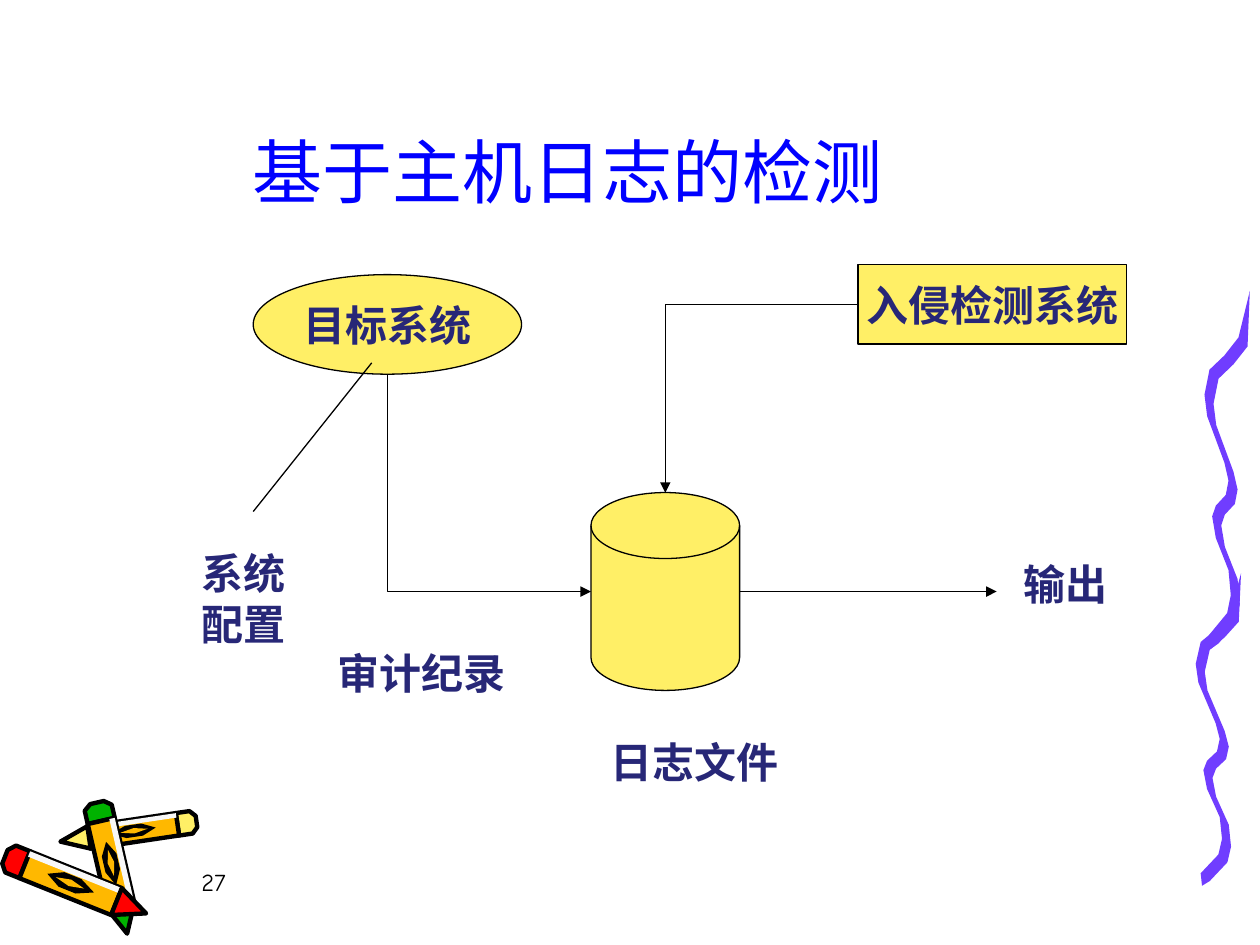
from math import hypot

from lxml.etree import SubElement
from pptx import Presentation
from pptx.dml.color import RGBColor
from pptx.enum.shapes import MSO_CONNECTOR as LINK, MSO_SHAPE as KIND
from pptx.enum.text import MSO_ANCHOR, MSO_AUTO_SIZE, PP_ALIGN
from pptx.oxml.ns import qn
from pptx.util import Inches, Pt

COLORS = {"title": "0000FF", "ink": "272777", "black": "000000",
          "pale": "FFEF66", "snow": "F8F8F8", "red": "FF0000",
          "gold": "FFB800", "green": "00B200", "violet": "703DFF"}

# Content: boxes are left, top, width, height in inches
TITLE = "基于主机日志的检测"
PAGE = "27"
NODES = {
    "target": (KIND.OVAL, "目标系统", (2.01, 2.18, 2.13, 0.79)),
    "log": (KIND.FLOWCHART_MAGNETIC_DISK, "", (4.69, 3.91, 1.18, 1.57)),
    "detector": (KIND.RECTANGLE, "入侵检测系统", (6.81, 2.1, 2.13, 0.63)),
}
LABELS = {
    "审计纪录": (2.56, 5.09, 1.57, 0.5),
    "系统配置": (1.38, 4.3, 1.1, 0.9),
    "日志文件": (4.61, 5.8, 1.81, 0.5),
    "输出": (7.91, 4.38, 1.1, 0.5),
}

# Sides of a node, as shares of its width and height
TOP, BOTTOM, LEFT, RIGHT = (0.5, 0), (0.5, 1), (0, 0.5), (1, 0.5)
ELBOWS = [  # from node and side, to node and side, turn, flip
    ("target", BOTTOM, "log", LEFT, 270, "flipH"),
    ("detector", LEFT, "log", TOP, 180, "flipV"),
]

# A crayon runs from its back (0) to its tip (1), and is 1 wide about its axis
CAP, NECK = 0.14, 0.79
CRAYON = [  # part, (along, across) corners
    ("end", [(0, -0.25), (0.04, -0.5), (CAP, -0.5), (CAP, 0.5), (0.04, 0.5), (0, 0.25)]),
    ("barrel", [(CAP, -0.5), (NECK, -0.5), (NECK, 0.5), (CAP, 0.5)]),
    ("shine", [(CAP, -0.5), (NECK, -0.5), (NECK, -0.3), (CAP, -0.3)]),
    ("end", [(NECK, -0.5), (1, 0), (NECK, 0.5)]),
    ("grain", [(0.3, 0), (0.4, -0.27), (0.52, -0.27), (0.63, 0), (0.52, 0.27), (0.4, 0.27)]),
    ("core", [(0.36, 0), (0.46, -0.12), (0.56, 0), (0.46, 0.12)]),
]
PAINT = {"barrel": "gold", "shine": "snow", "grain": "black", "core": "gold"}
LINED = {"end", "barrel"}
CRAYONS = [  # end colour, back, tip, width (below zero puts the shine on the other side)
    ("pale", (1.56, 6.52), (0.48, 6.68), -0.18),
    ("green", (0.77, 6.37), (1.01, 7.41), 0.22),
    ("red", (0.04, 6.8), (1.16, 7.25), 0.23),
]

# A ribbon is its left edge swept by a slanted nib, in percent of its box
EDGE = [(100, 0), (75, 13), (44, 18), (11, 22), (0, 29), (6, 35), (44, 48), (53, 53),
        (47, 57), (25, 60), (17, 63), (25, 69), (53, 78), (58, 85), (50, 90), (11, 96)]
NIB = (20, 2.5)
FOOT = (14, 100)
RIBBONS = [(9.49, 4.55, 0.36, 2.48), (9.56, 2.31, 0.36, 2.84)]


def rgb(name):
    return RGBColor.from_string(COLORS[name])


def box(*sides):
    return [Inches(side) for side in sides]


def paint(shape, fill, width=0.0):
    """Fill a shape; give it a black line where width is not zero."""
    shape.shadow.inherit = False
    shape.fill.solid()
    shape.fill.fore_color.rgb = rgb(fill)
    if width:
        shape.line.color.rgb = rgb("black")
        shape.line.width = Pt(width)
    else:
        shape.line.fill.background()


def write(frame, text, size, color, face, bold=False, align=PP_ALIGN.CENTER, before=0):
    frame.text = text
    para = frame.paragraphs[0]
    para.alignment, para.space_before = align, Pt(before)
    font = para.runs[0].font
    font.size, font.name, font.bold = Pt(size), face, bold
    font.color.rgb = rgb(color)


def label(frame, text, before):
    write(frame, text, 24, "ink", "Times New Roman", True, before=before)


def trace(group, dots, fill, width=0.0):
    """Add a closed outline through dots given in inches."""
    dots = [box(*dot) for dot in dots]
    pen = group.shapes.build_freeform(*dots[0])
    pen.add_line_segments(dots[1:], close=True)
    paint(pen.convert_to_shape(), fill, width)


def crayon(group, hue, back, tip, wide):
    run, fall = tip[0] - back[0], tip[1] - back[1]
    size = hypot(run, fall)
    side = (-fall / size * wide, run / size * wide)
    for part, dots in CRAYON:
        spots = [(back[0] + u * run + v * side[0], back[1] + u * fall + v * side[1])
                 for u, v in dots]
        trace(group, spots, PAINT.get(part, hue), 2.5 if part in LINED else 0)


def ribbon(group, left, top, wide, high):
    swept = [(x + NIB[0], y + NIB[1]) for x, y in EDGE[1:]]
    loop = EDGE + [FOOT] + swept[::-1]
    trace(group, [(left + x / 100 * wide, top + y / 100 * high) for x, y in loop], "violet")


def port(name, side):
    left, top, wide, high = NODES[name][2]
    return left + side[0] * wide, top + side[1] * high


def link(slide, kind, start, end, arrow=True):
    wire = slide.shapes.add_connector(kind, *box(*start, *end))
    wire.line.color.rgb = rgb("black")
    wire.line.width = Pt(0.75)
    if arrow:
        SubElement(wire.line._get_or_add_ln(), qn("a:tailEnd"), type="triangle")
    SubElement(wire._element.spPr, qn("a:effectLst"))
    return wire


def bend(slide, start, end, turn, flip):
    """Add a one-corner arrow; a quarter turn swaps the sides of its box."""
    wide, high = abs(end[0] - start[0]), abs(end[1] - start[1])
    if turn % 180:
        wide, high = high, wide
    mid = (start[0] + end[0]) / 2, (start[1] + end[1]) / 2
    near = mid[0] - wide / 2, mid[1] - high / 2
    far = mid[0] + wide / 2, mid[1] + high / 2
    props = link(slide, LINK.ELBOW, near, far)._element.spPr
    props.find(qn("a:prstGeom")).set("prst", "bentConnector2")
    form = props.find(qn("a:xfrm"))
    form.set("rot", str(turn * 60000))
    form.set(flip, "1")


def main():
    deck = Presentation()
    deck.slide_width, deck.slide_height = box(10, 7.5)
    slide = deck.slides.add_slide(deck.slide_layouts[5])

    for draw, items in ((crayon, CRAYONS), (ribbon, RIBBONS)):
        group = slide.shapes.add_group_shape()
        for item in items:
            draw(group, *item)

    title = slide.shapes.title
    title.left, title.top, title.width, title.height = box(0.75, 0.17, 7.51, 1.57)
    title.text_frame.vertical_anchor = MSO_ANCHOR.BOTTOM
    title.text_frame.auto_size = MSO_AUTO_SIZE.NONE
    write(title.text_frame, TITLE, 40, "title", "Comic Neue")

    page = slide.shapes.add_textbox(*box(1.5, 6.83, 2.08, 0.5)).text_frame
    page.word_wrap = True
    write(page, PAGE, 14, "black", "Comic Neue", align=PP_ALIGN.LEFT)

    for kind, text, place in NODES.values():
        node = slide.shapes.add_shape(kind, *box(*place))
        paint(node, "pale", 0.75)
        if text:
            node.text_frame.word_wrap = False
            node.text_frame.vertical_anchor = MSO_ANCHOR.MIDDLE
            label(node.text_frame, text, 6)

    for source, out, goal, into, turn, flip in ELBOWS:
        bend(slide, port(source, out), port(goal, into), turn, flip)
    exit = port("log", RIGHT)
    link(slide, LINK.STRAIGHT, exit, (LABELS["输出"][0], exit[1]))
    link(slide, LINK.STRAIGHT, (2.95, 2.88), (2.01, 4.06), arrow=False)

    for text, place in LABELS.items():
        frame = slide.shapes.add_textbox(*box(*place)).text_frame
        frame.word_wrap = True
        label(frame, text, 15)
    deck.save("out.pptx")


if __name__ == "__main__":
    main()
